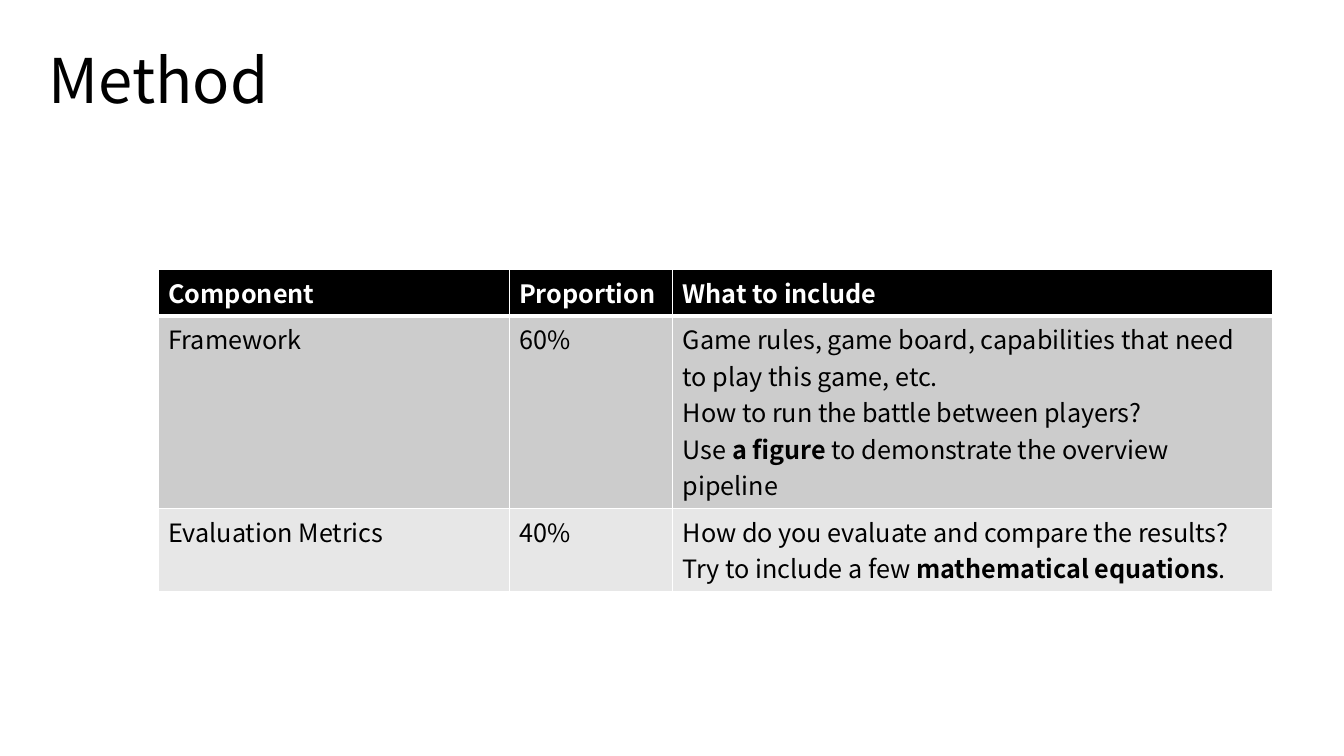
from lxml.etree import SubElement as Sub
from pptx import Presentation as Deck
from pptx.dml.color import RGBColor as RGB
from pptx.enum.text import MSO_ANCHOR as Anchor, MSO_AUTO_SIZE as Auto, PP_ALIGN as Align
from pptx.oxml.ns import qn
from pptx.util import Cm, Pt

BLACK = RGB(0x00, 0x00, 0x00)
WHITE = RGB(0xFF, 0xFF, 0xFF)
GREY = RGB(0xCC, 0xCC, 0xCC)
PALE = RGB(0xE7, 0xE7, 0xE7)

FACE = "Noto Sans CJK SC"
HEAD = {"name": FACE, "size": Pt(44), "bold": False}
BODY = {"name": FACE, "size": Pt(18)}
FILLS = [BLACK, GREY, PALE]
COLS = [8.84, 4.12, 15.11]
ROW = 1.04

ROWS = [
    [["Component"], ["Proportion"], ["What to include"]],
    [["Framework"], ["60%"], [
        "Game rules, game board, capabilities that need to play this game, etc.",
        "How to run the battle between players?",
        "Use *a figure* to demonstrate the overview pipeline"]],
    [["Evaluation Metrics"], ["40%"], [
        "How do you evaluate and compare the results?",
        "Try to include a few *mathematical equations*."]],
]


def put(item, form):
    """Set each attribute of item from a dict of values."""
    for key, value in form.items():
        setattr(item, key, value)


def style(font, form, tint):
    """Give a font its format and colour."""
    put(font, form)
    font.color.rgb = tint


def title(slide, text):
    """Place and format the slide title."""
    shape = slide.shapes.title
    put(shape, {"left": Cm(0.97), "top": Cm(0.64), "width": Cm(25.4), "height": Cm(2.95)})
    frame = shape.text_frame
    put(frame, {"text": text, "word_wrap": True, "auto_size": Auto.NONE,
                "vertical_anchor": Anchor.MIDDLE})
    para = frame.paragraphs[0]
    put(para, {"alignment": Align.LEFT, "line_spacing": 0.9})
    style(para.runs[0].font, HEAD, BLACK)


def edge(cell, row):
    """Draw the white borders, thick under the header row."""
    wide = {(0, "lnB"), (1, "lnT")}
    props = cell._tc.get_or_add_tcPr()
    for side in ("lnL", "lnR", "lnT", "lnB"):
        width = Pt(3 if (row, side) in wide else 1)
        line = Sub(props, qn("a:" + side), w=str(width))
        Sub(Sub(line, qn("a:solidFill")), qn("a:srgbClr"), val=str(WHITE))


def write(cell, lines, top):
    """Fill a cell with paragraphs, with starred parts in bold."""
    frame = cell.text_frame
    for num, line in enumerate(lines):
        para = frame.add_paragraph() if num else frame.paragraphs[0]
        for part, text in enumerate(line.split("*")):
            run = para.add_run()
            run.text = text
            form = {**BODY, "bold": top or part % 2 == 1}
            style(run.font, form, WHITE if top else BLACK)


def grid(slide):
    """Add the table of components."""
    table = slide.shapes.add_table(
        len(ROWS), len(COLS), Cm(3.99), Cm(6.78),
        Cm(sum(COLS)), Cm(ROW * len(ROWS))).table
    for col, width in zip(table.columns, COLS):
        col.width = Cm(width)
    for row, cells in enumerate(ROWS):
        for col, lines in enumerate(cells):
            cell = table.cell(row, col)
            edge(cell, row)
            cell.fill.solid()
            cell.fill.fore_color.rgb = FILLS[row]
            write(cell, lines, row == 0)


def main():
    """Build and save the slide."""
    deck = Deck()
    put(deck, {"slide_width": Cm(33.87), "slide_height": Cm(19.05)})
    slide = deck.slides.add_slide(deck.slide_layouts[5])
    title(slide, "Method")
    grid(slide)
    deck.save("out.pptx")


if __name__ == "__main__":
    main()
